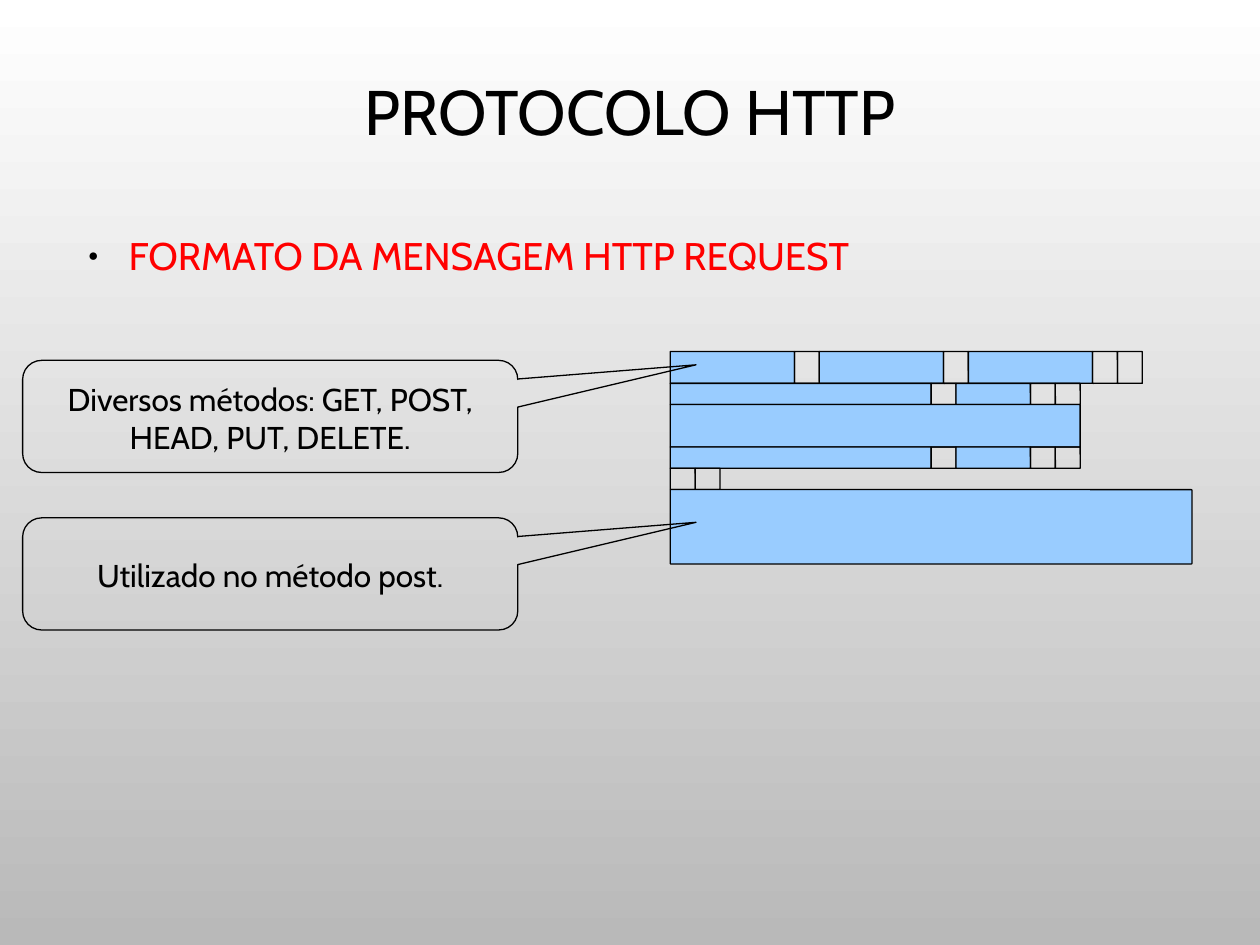
from dataclasses import dataclass

from lxml import etree
from pptx import Presentation, util as u
from pptx.dml.color import RGBColor
from pptx.enum import shapes, text
from pptx.oxml import ns
from pptx.shapes.autoshape import Shape
from pptx.slide import Slide
from pptx.text.text import TextFrame

BLACK = RGBColor(0x00, 0x00, 0x00)
RED = RGBColor(0xFF, 0x00, 0x00)
FIELD_BLUE = RGBColor(0x99, 0xCC, 0xFF)
WHITE = RGBColor(0xFF, 0xFF, 0xFF)
GRAY = RGBColor(0xB9, 0xB9, 0xB9)
FONT = "Cabin"

GRID_LEFT, GRID_TOP = 5.32, 2.79
COLUMN = 4.14 / 21
ROW = 0.59 / 3.5
CALLOUT_LEFT, CALLOUT_WIDTH, CALLOUT_HEIGHT = 0.18, 3.93, 0.89


@dataclass(frozen=True)
class Field:
    columns: float
    filled: bool = True


@dataclass(frozen=True)
class MessageLine:
    rows: float
    fields: tuple[Field, ...]


@dataclass(frozen=True)
class Callout:
    top: float
    words: str


SEPARATOR = Field(1, filled=False)
LINE_END = (SEPARATOR, SEPARATOR)
HEADER_LINE = MessageLine(1, (Field(10.5), SEPARATOR, Field(3), *LINE_END))
REQUEST = (
    MessageLine(1.5, (Field(5), SEPARATOR, Field(5), SEPARATOR, Field(5), *LINE_END)),
    HEADER_LINE,
    MessageLine(2, (Field(16.5),)),
    HEADER_LINE,
    MessageLine(1, LINE_END),
    MessageLine(3.5, (Field(21),)),
)
CALLOUTS = (
    Callout(2.86, "Diversos métodos: GET, POST, HEAD, PUT, DELETE."),
    Callout(4.11, "Utilizado no método post."),
)


def place(shape: Shape, left: float, top: float, width: float, height: float) -> None:
    shape.left, shape.top = u.Inches(left), u.Inches(top)
    shape.width, shape.height = u.Inches(width), u.Inches(height)


def write(frame: TextFrame, words: str, size: int, color: RGBColor,
          margin_top: float, margin_bottom: float) -> None:
    frame.word_wrap = True
    frame.auto_size = text.MSO_AUTO_SIZE.NONE
    frame.margin_left = frame.margin_right = u.Inches(0.09)
    frame.margin_top, frame.margin_bottom = u.Inches(margin_top), u.Inches(margin_bottom)
    frame.text = words
    font = frame.paragraphs[0].font
    font.name, font.size = FONT, u.Pt(size)
    font.color.rgb = color


def add_outlined(slide: Slide, kind: shapes.MSO_SHAPE, left: float, top: float,
                 width: float, height: float, filled: bool) -> Shape:
    shape = slide.shapes.add_shape(
        kind, u.Inches(left), u.Inches(top), u.Inches(width), u.Inches(height))
    shape.shadow.inherit = False
    if filled:
        shape.fill.solid()
        shape.fill.fore_color.rgb = FIELD_BLUE
    else:
        shape.fill.background()
    shape.line.color.rgb = BLACK
    shape.line.width = u.Pt(0.75)
    return shape


def draw_background(slide: Slide) -> None:
    fill = slide.background.fill
    fill.gradient()
    fill.gradient_angle = 270
    for stop, position, color in zip(fill.gradient_stops, (0, 1), (WHITE, GRAY)):
        stop.position = position
        stop.color.rgb = color


def draw_title(slide: Slide) -> None:
    title = slide.shapes.title
    place(title, 0.5, 0.3, 9, 1.25)
    write(title.text_frame, "PROTOCOLO HTTP", 36, BLACK, 0.03, 0.05)
    title.text_frame.vertical_anchor = text.MSO_ANCHOR.MIDDLE
    paragraph = title.text_frame.paragraphs[0]
    paragraph.alignment = text.PP_ALIGN.CENTER
    paragraph.line_spacing = 0.9


def draw_list(slide: Slide) -> None:
    body = slide.placeholders[1]
    place(body, 0.5, 1.75, 9, 4.95)
    write(body.text_frame, "FORMATO DA MENSAGEM HTTP REQUEST", 22, RED, 0.02, 0.05)
    paragraph = body.text_frame.paragraphs[0]
    properties = paragraph._p.get_or_add_pPr()
    properties.set("marL", str(u.Inches(0.43)))
    properties.set("indent", str(u.Inches(-0.32)))
    bullet_color = etree.Element(ns.qn("a:buClr"))
    etree.SubElement(bullet_color, ns.qn("a:srgbClr"), val=str(BLACK))
    bullet_size = etree.Element(ns.qn("a:buSzPct"), val="45000")
    bullet = etree.Element(ns.qn("a:buChar"), char="●")
    for index, element in enumerate((bullet_color, bullet_size, bullet)):
        properties.insert(index, element)
    paragraph.line_spacing = 1.2
    paragraph.space_before = u.Pt(10)


def draw_request(slide: Slide) -> None:
    top = GRID_TOP
    for line in REQUEST:
        left, height = GRID_LEFT, line.rows * ROW
        for field in line.fields:
            width = field.columns * COLUMN
            box = add_outlined(slide, shapes.MSO_SHAPE.ROUNDED_RECTANGLE,
                               left, top, width, height, field.filled)
            box.adjustments[0] = 0.01
            left += width
        top += height


def draw_callout(slide: Slide, callout: Callout) -> None:
    shape = add_outlined(slide, shapes.MSO_SHAPE.ROUNDED_RECTANGULAR_CALLOUT, CALLOUT_LEFT,
                         callout.top, CALLOUT_WIDTH, CALLOUT_HEIGHT, filled=False)
    for index, value in enumerate((0.86, -0.46, 0.17)):
        shape.adjustments[index] = value
    write(shape.text_frame, callout.words, 18, BLACK, 0.06, 0.04)
    shape.text_frame.vertical_anchor = text.MSO_ANCHOR.MIDDLE
    shape.text_frame.paragraphs[0].alignment = text.PP_ALIGN.CENTER


def main() -> None:
    presentation = Presentation()
    presentation.slide_width, presentation.slide_height = u.Inches(10), u.Inches(7.5)
    slide = presentation.slides.add_slide(presentation.slide_layouts[1])
    draw_background(slide)
    draw_title(slide)
    draw_list(slide)
    draw_request(slide)
    for callout in CALLOUTS:
        draw_callout(slide, callout)
    presentation.save("out.pptx")


if __name__ == "__main__":
    main()
